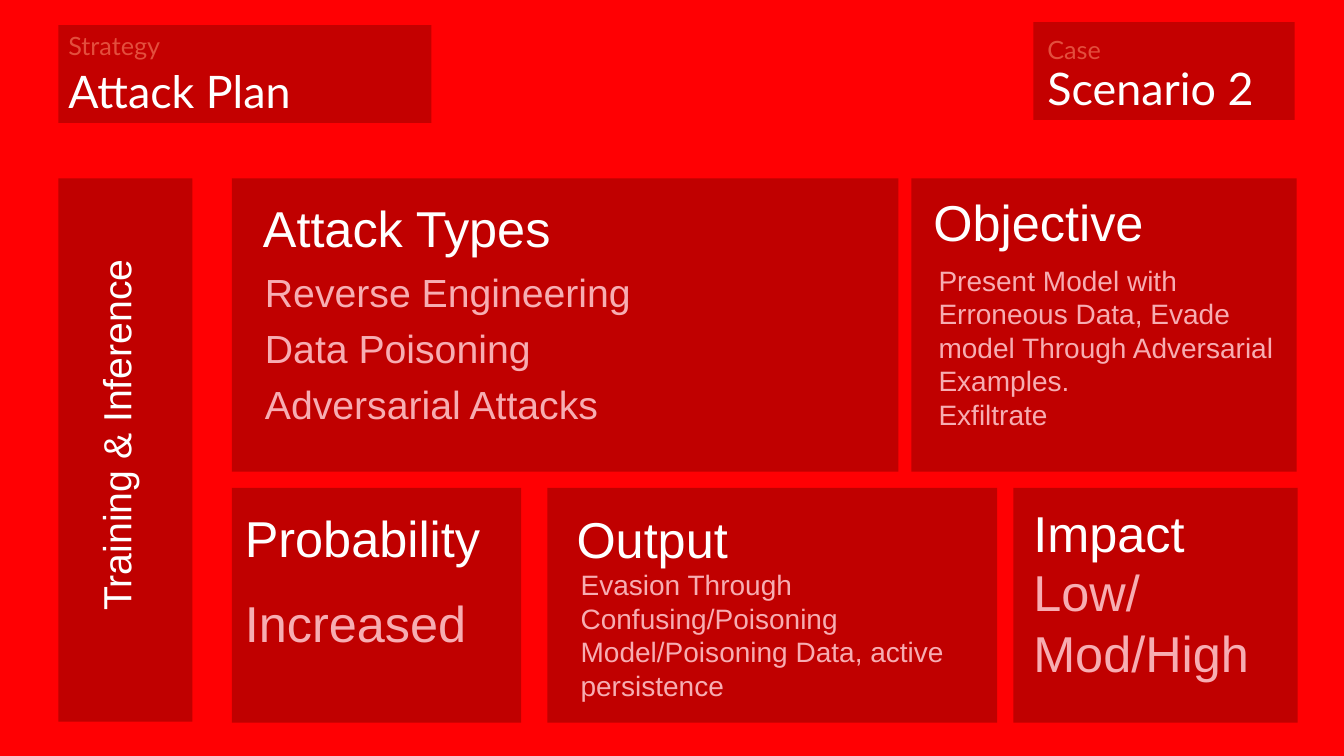
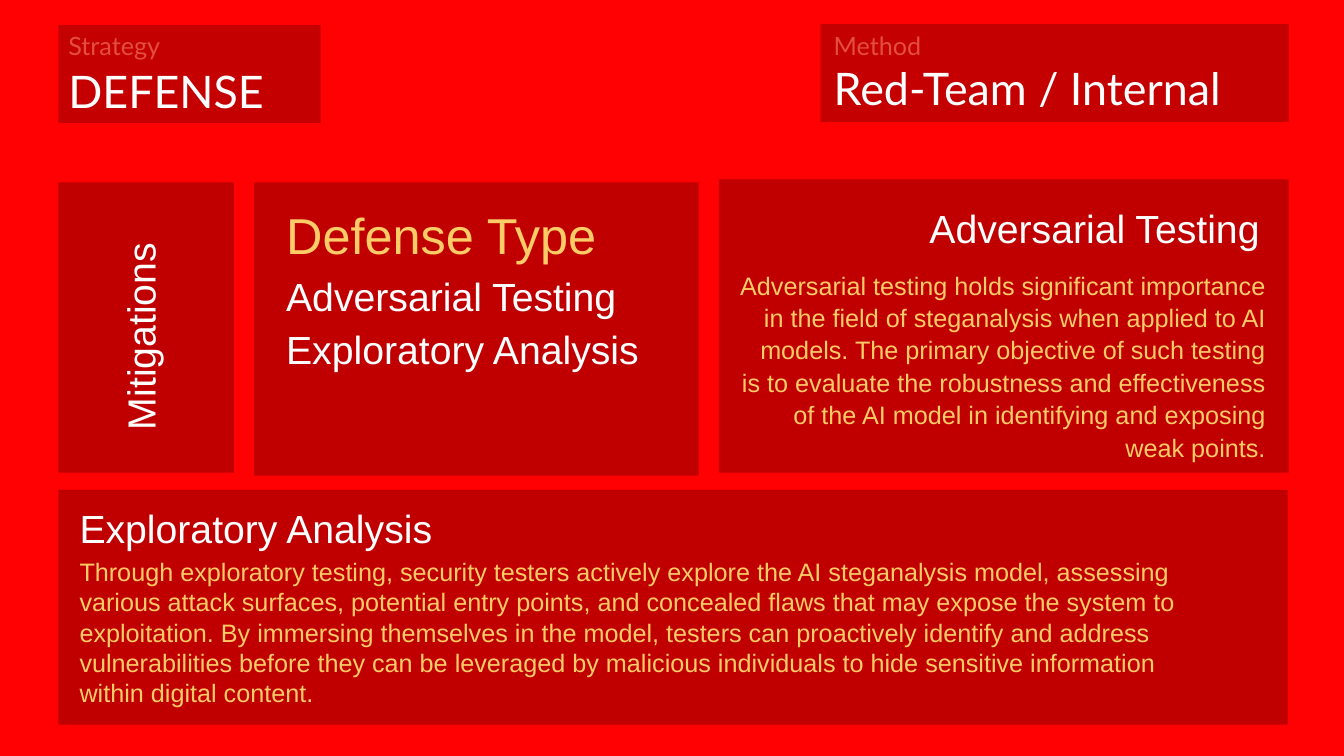
from pptx import Presentation
from pptx.dml.color import RGBColor
from pptx.enum.shapes import MSO_SHAPE
from pptx.enum.text import MSO_AUTO_SIZE, PP_ALIGN
from pptx.util import Inches, Pt

RECTANGLE = MSO_SHAPE.RECTANGLE
FIT_TEXT = MSO_AUTO_SIZE.SHAPE_TO_FIT_TEXT
LEFT, RIGHT = PP_ALIGN.LEFT, PP_ALIGN.RIGHT

COLORS = {
    "background": "FF0003", "band": "C40000", "card": "C00000",
    "kicker": "E34E3D", "white": "FFFFFF", "pink": "F7ADB2", "gold": "FECC67",
}

# Text styles: size, colour, font
STYLES = {
    "kicker": dict(size=18, color="kicker", font="Lato"),
    "title": dict(size=32, color="white", font="Lato"),
    "heading": dict(size=36, color="white"),
    "gold heading": dict(size=36, color="gold"),
    "subheading": dict(size=28, color="white"),
    "list": dict(size=28, color="pink"),
    "rating": dict(size=36, color="pink"),
    "note": dict(size=20, color="pink"),
    "body": dict(size=18, color="gold"),
}

BAND_HEIGHT = 0.97

# Bands: kicker, title, band (left, top, width), text left, kicker top, title top
# Cards: box (left, top, width, height), then texts
# Texts: style, paragraphs, box (left, top, width, height), other format
SLIDES = [
    {
        "bands": [
            ("Strategy", "Attack Plan", (0.58, 0.25, 3.7), 0.58, 0.25, 0.58),
            ("Case", "Scenario 2", (10.25, 0.22, 2.59), 10.29, 0.29, 0.55),
        ],
        "cards": [
            ((0.58, 1.77, 1.33, 5.39), [
                ("subheading", ["Training & Inference"], (-1, 3.72, 4.3, 0.57),
                 dict(rotation=270)),
            ]),
            ((2.3, 1.77, 6.61, 2.91), [
                ("heading", ["Attack Types"], (2.51, 1.91, 6.22, 0.71), {}),
                ("list", ["Reverse Engineering", "Data Poisoning",
                          "Adversarial Attacks"],
                 (2.53, 2.61, 4.3, 1.64), dict(gap=6.5)),
            ]),
            ((9.04, 1.77, 3.82, 2.91), [
                ("heading", ["Objective"], (9.16, 1.85, 2.62, 0.71), {}),
                ("note", ["Present Model with Erroneous Data, Evade model "
                          "Through Adversarial Examples.", "Exfiltrate"],
                 (9.21, 2.56, 3.59, 1.78), {}),
            ]),
            ((2.3, 4.84, 2.87, 2.33), [
                ("heading", ["Probability"], (2.33, 4.98, 2.62, 0.71), {}),
                ("rating", ["Increased"], (2.33, 5.82, 2.68, 0.71), {}),
            ]),
            ((5.43, 4.84, 4.46, 2.33), [
                ("heading", ["Output"], (5.62, 4.99, 1.98, 0.71), {}),
                ("note", ["Evasion Through Confusing/Poisoning "
                          "Model/Poisoning Data, active persistence"],
                 (5.66, 5.58, 4.25, 1.45), {}),
            ]),
            ((10.05, 4.84, 2.82, 2.33), [
                ("heading", ["Impact"], (10.15, 4.93, 2.62, 0.71), {}),
                ("rating", ["Low/Mod/High"], (10.15, 5.52, 2.68, 1.31), {}),
            ]),
        ],
    },
    {
        "bands": [
            ("Strategy", "DEFENSE", (0.58, 0.25, 2.6), 0.58, 0.25, 0.58),
            ("Method", "Red-Team / Internal", (8.14, 0.24, 4.64),
             8.17, 0.25, 0.55),
        ],
        "cards": [
            ((0.58, 1.81, 1.74, 2.88), [
                ("subheading", ["Mitigations"], (0.34, 3.03, 2.1, 0.57),
                 dict(rotation=270)),
            ]),
            ((2.52, 1.81, 4.41, 2.91), [
                ("gold heading", ["Defense Type"], (2.74, 1.98, 3.88, 0.71), {}),
                ("subheading", ["Adversarial Testing", "Exploratory Analysis"],
                 (2.74, 2.65, 4.3, 1.08), dict(gap=4.5)),
            ]),
            ((7.13, 1.78, 5.65, 2.91), [
                ("subheading", ["Adversarial Testing"],
                 (9.12, 1.98, 3.51, 0.57), {}),
                ("body", ["Adversarial testing holds significant importance in "
                          "the field of steganalysis when applied to AI models. "
                          "The primary objective of such testing is to evaluate "
                          "the robustness and effectiveness of the AI model in "
                          "identifying and exposing weak points."],
                 (7.24, 2.61, 5.41, 2.03),
                 dict(align=RIGHT, line_spacing=1.07, space_after=8)),
            ]),
            ((0.58, 4.86, 12.19, 2.33), [
                ("subheading", ["Exploratory Analysis"],
                 (0.69, 4.95, 4.11, 0.57), {}),
                ("body", ["Through exploratory testing, security testers "
                          "actively explore the AI steganalysis model, assessing "
                          "various attack surfaces, potential entry points, and "
                          "concealed flaws that may expose the system to "
                          "exploitation. By immersing themselves in the model, "
                          "testers can proactively identify and address "
                          "vulnerabilities before they can be leveraged by "
                          "malicious individuals to hide sensitive information "
                          "within digital content."],
                 (0.69, 5.47, 11.08, 1.62), {}),
            ]),
        ],
    },
]


def rgb(name):
    return RGBColor.from_string(COLORS[name])


def add_panel(slide, box, color):
    panel = slide.shapes.add_shape(RECTANGLE, *map(Inches, box))
    panel.shadow.inherit = False
    panel.fill.solid()
    panel.fill.fore_color.rgb = rgb(color)
    panel.line.fill.background()


def add_text(slide, paragraphs, box, *, size, color, font="Arial", align=LEFT,
             gap=0, line_spacing=None, space_after=None, rotation=0):
    """Add a text box; gap is the space in points between paragraphs."""
    label = slide.shapes.add_textbox(*map(Inches, box))
    label.rotation = rotation
    frame = label.text_frame
    frame.word_wrap = True
    frame.auto_size = FIT_TEXT
    for index, words in enumerate(paragraphs):
        paragraph = frame.add_paragraph() if index else frame.paragraphs[0]
        paragraph.alignment = align
        if index and gap:
            paragraph.space_before = Pt(gap)
        if line_spacing:
            paragraph.line_spacing = line_spacing
        if space_after:
            paragraph.space_after = Pt(space_after)
        run = paragraph.add_run()
        run.text = words
        run.font.name = font
        run.font.size = Pt(size)
        run.font.color.rgb = rgb(color)


def add_band(slide, kicker, title, band, text_left, kicker_top, title_top):
    left, top, width = band
    add_panel(slide, (left, top, width, BAND_HEIGHT), "band")
    text_width = max(2.89, left + width - text_left)
    add_text(slide, [title], (text_left, title_top, text_width, 0.64),
             **STYLES["title"])
    add_text(slide, [kicker], (text_left, kicker_top, 1.33, 0.4),
             **STYLES["kicker"])


def main():
    deck = Presentation()
    deck.slide_width, deck.slide_height = Inches(13.33), Inches(7.5)
    blank = deck.slide_layouts[6]
    background = deck.slide_master.background.fill
    background.solid()
    background.fore_color.rgb = rgb("background")
    for content in SLIDES:
        slide = deck.slides.add_slide(blank)
        for band in content["bands"]:
            add_band(slide, *band)
        for box, texts in content["cards"]:
            add_panel(slide, box, "card")
            for style, paragraphs, text_box, extra in texts:
                add_text(slide, paragraphs, text_box, **STYLES[style], **extra)
    deck.save("out.pptx")


if __name__ == "__main__":
    main()
